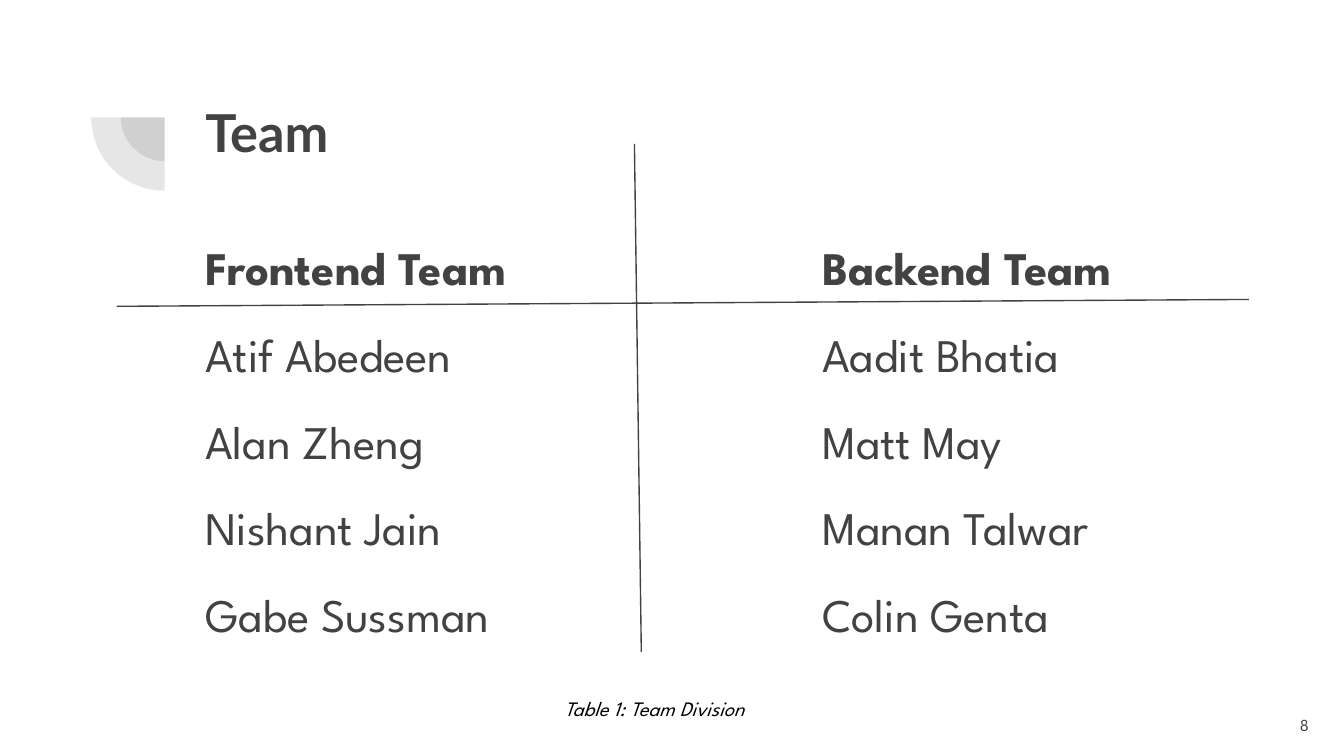
import pptx
import pptx.dml.color
import pptx.enum.shapes
import pptx.enum.text
import pptx.oxml.ns
import pptx.util
import lxml.etree
from dataclasses import dataclass

Cm = pptx.util.Cm
Pt = pptx.util.Pt
qn = pptx.oxml.ns.qn
ALIGN = pptx.enum.text.PP_ALIGN
ANCHOR = pptx.enum.text.MSO_ANCHOR


@dataclass(frozen=True)
class Theme:
    ink: str = "424242"
    caption_ink: str = "000000"
    title_font: str = "Lato"
    body_font: str = "League Spartan"
    title_size: int = 28
    body_size: int = 25
    caption_size: int = 11
    number_size: int = 9
    line_width: float = 0.75
    pie_opacity: int = 13


THEME = Theme()

TEAMS = [
    # left, width, heading, members
    (3.63, 7.44, "Frontend Team",
     ["Atif Abedeen", "Alan Zheng", "Nishant Jain", "Gabe Sussman"]),
    (15.29, 8.43, "Backend Team",
     ["Aadit Bhatia", "Matt May", "Manan Talwar", "Colin Genta"]),
]


def rgb(color):
    return pptx.dml.color.RGBColor.from_string(color)


def add_box(page, left, top, width, height, anchor=ANCHOR.TOP):
    box = page.shapes.add_textbox(Cm(left), Cm(top), Cm(width), Cm(height))
    frame = box.text_frame
    frame.word_wrap = True
    frame.vertical_anchor = anchor
    frame.margin_left = frame.margin_right = Cm(0.25)
    frame.margin_top = frame.margin_bottom = Cm(0.25)
    return frame


def write(para, text, size, font=THEME.body_font, color=THEME.ink, bold=False,
          italic=False, align=ALIGN.LEFT, spacing=1.0, before=0, after=0):
    para.alignment = align
    para.line_spacing = spacing
    para.space_before = Pt(before)
    para.space_after = Pt(after)
    span = para.add_run()
    span.text = text
    span.font.name = font
    span.font.size = Pt(size)
    span.font.bold = bold
    span.font.italic = italic
    span.font.color.rgb = rgb(color)


def add_quarter(page, center_x, center_y, diameter):
    quarter = page.shapes.add_shape(
        pptx.enum.shapes.MSO_SHAPE.PIE,
        Cm(center_x - diameter / 2), Cm(center_y - diameter / 2),
        Cm(diameter), Cm(diameter))
    # From 180 to 270 degrees, 0.6 units to the degree
    quarter.adjustments[0] = 180 * 0.6
    quarter.adjustments[1] = 270 * 0.6
    quarter.rotation = 270
    quarter.shadow.inherit = False
    quarter.line.fill.background()
    quarter.fill.solid()
    quarter.fill.fore_color.rgb = rgb(THEME.ink)
    color = quarter._element.spPr.find(".//" + qn("a:srgbClr"))
    lxml.etree.SubElement(color, qn("a:alpha"), val=str(THEME.pie_opacity * 1000))


def add_rule(page, start_x, start_y, end_x, end_y):
    rule = page.shapes.add_connector(
        pptx.enum.shapes.MSO_CONNECTOR.STRAIGHT,
        Cm(start_x), Cm(start_y), Cm(end_x), Cm(end_y))
    rule.line.color.rgb = rgb(THEME.ink)
    rule.line.width = Pt(THEME.line_width)
    lxml.etree.SubElement(rule._element.spPr, qn("a:effectLst"))


def add_team(page, left, width, heading, members):
    frame = add_box(page, left, 4.11, width, 7.06)
    write(frame.paragraphs[0], heading, THEME.body_size, bold=True, spacing=1.15)
    for member in members:
        write(frame.add_paragraph(), member, THEME.body_size, spacing=1.15,
              before=12, after=12 if member == members[-1] else 0)


def main():
    deck = pptx.Presentation()
    deck.slide_width = Cm(25.4)
    deck.slide_height = Cm(14.29)
    page = deck.slides.add_slide(deck.slide_layouts[6])

    # Corner ornament
    for diameter in (1.65, 2.77):
        add_quarter(page, 3.11, 2.22, diameter)

    # Title
    title = add_box(page, 3.63, 1.65, 19.53, 2.77)
    write(title.paragraphs[0], "Team", THEME.title_size,
          font=THEME.title_font, bold=True)

    # Team columns
    for team in TEAMS:
        add_team(page, *team)

    # Page number
    number = add_box(page, 23.47, 13.16, 1.52, 1.09, anchor=ANCHOR.MIDDLE)
    write(number.paragraphs[0], "8", THEME.number_size, align=ALIGN.RIGHT)

    # Dividing lines and caption
    add_rule(page, 11.99, 2.72, 12.12, 12.32)
    caption = add_box(page, 10.01, 12.93, 4.72, 0.99)
    write(caption.paragraphs[0], "Table 1: Team Division", THEME.caption_size,
          color=THEME.caption_ink, italic=True, align=ALIGN.CENTER)
    add_rule(page, 2.21, 5.79, 23.6, 5.66)

    deck.save("out.pptx")


if __name__ == "__main__":
    main()
